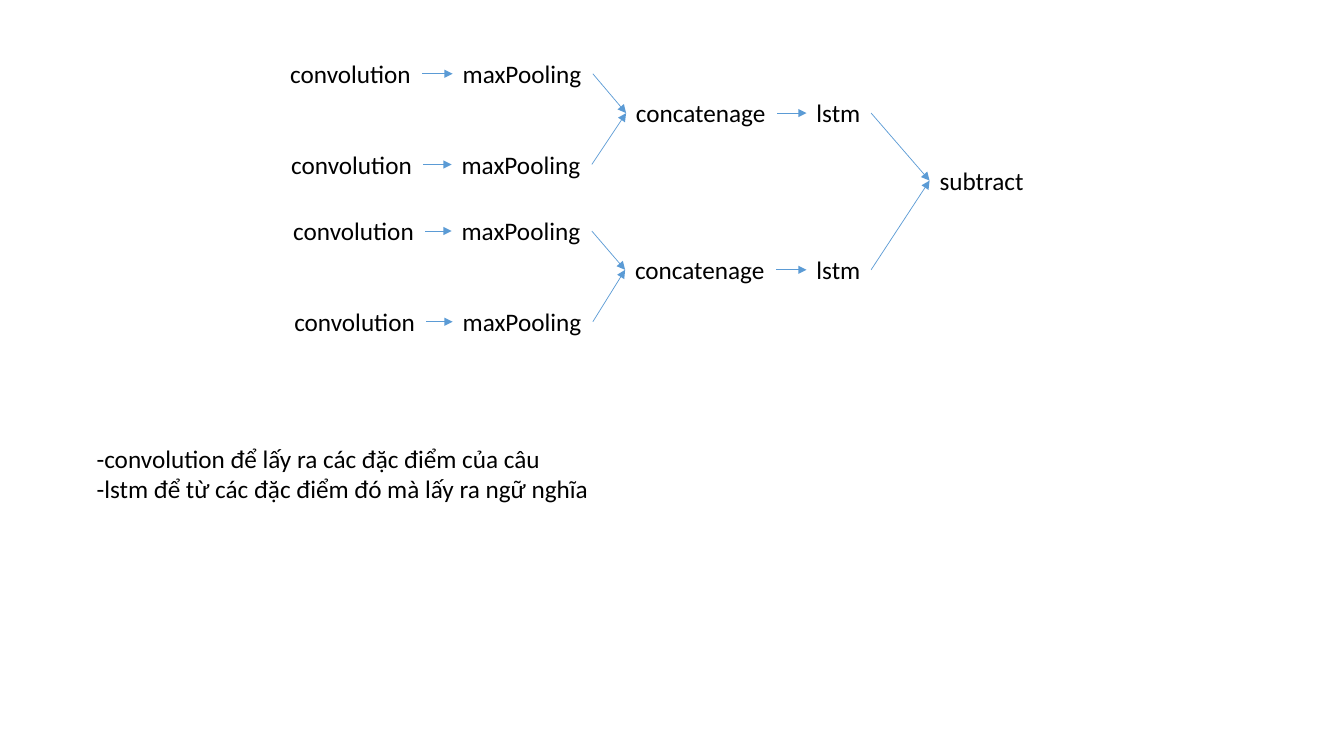
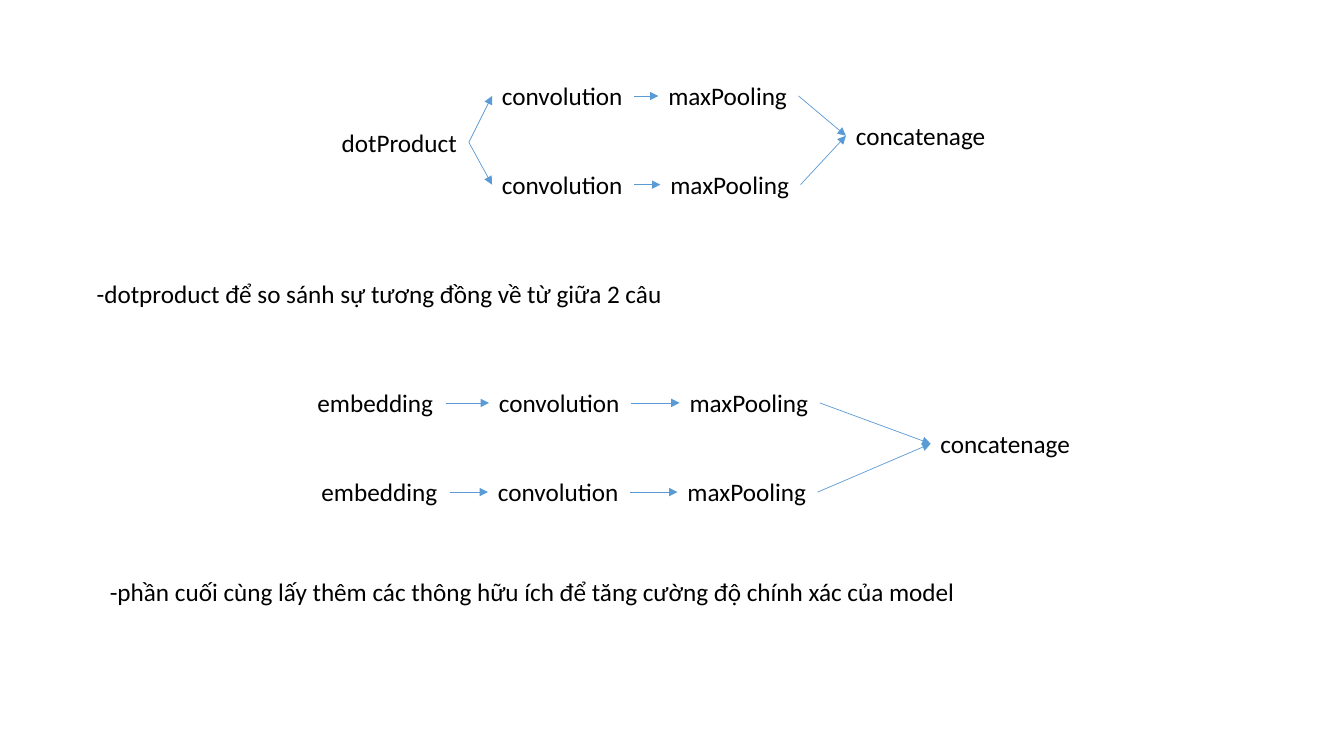
"""Two slides of network diagrams: labelled steps joined by thin arrows."""
from lxml.etree import SubElement
from pptx import Presentation
from pptx.dml.color import RGBColor
from pptx.enum.shapes import MSO_CONNECTOR as Connector
from pptx.enum.text import MSO_AUTO_SIZE as AutoSize
from pptx.oxml.ns import qn
from pptx.util import Inches, Pt

COLORS = {"text": "000000", "arrow": "5B9BD5"}
FONT, TEXT_SIZE, ARROW_WIDTH = "Calibri", Pt(18), Pt(0.5)
CELL = Inches(0.1)  # side of one column and one row of the grid
LINE_ROWS, PADDING_ROWS = 3.03, 1.01
LEFT_SITE, RIGHT_SITE = 1, 3
STEP_COLUMNS = {
    "convolution": 14.1, "maxPooling": 13.9, "concatenage": 15, "lstm": 6.4,
    "subtract": 10.4, "dotProduct": 13.6, "embedding": 13.7,
}


class Diagram:
    """Holds the deck, its style and the slide being drawn."""

    def __init__(self):
        """Start a widescreen deck."""
        self.deck = Presentation()
        self.deck.slide_width, self.deck.slide_height = Inches(13.33), Inches(7.5)
        self.page = None

    def new_page(self):
        """Add a blank slide and make it current."""
        self.page = self.deck.slides.add_slide(self.deck.slide_layouts[6])

    def text(self, lines, column, row, columns):
        """Place lines of text at a grid position."""
        rows = LINE_ROWS * len(lines) + PADDING_ROWS
        box = self.page.shapes.add_textbox(
            *(int(CELL * length) for length in (column, row, columns, rows)))
        frame = box.text_frame
        frame.word_wrap = False
        frame.auto_size = AutoSize.SHAPE_TO_FIT_TEXT
        frame.text = "\n".join(lines)
        for para in frame.paragraphs:
            for span in para.runs:
                span.font.name, span.font.size = FONT, TEXT_SIZE
                span.font.color.rgb = RGBColor.from_string(COLORS["text"])
        return box

    def step(self, word, column, row):
        """Place one named step of a network."""
        return self.text([word], column, row, STEP_COLUMNS[word])

    def arrow(self, source, target):
        """Join the right side of one step to the left side of another."""
        line = self.page.shapes.add_connector(Connector.STRAIGHT, 0, 0, 0, 0)
        line.begin_connect(source, RIGHT_SITE)
        line.end_connect(target, LEFT_SITE)
        line.line.color.rgb = RGBColor.from_string(COLORS["arrow"])
        line.line.width = ARROW_WIDTH
        properties = line.element.spPr
        SubElement(properties.find(qn("a:ln")), qn("a:tailEnd"), type="triangle")
        SubElement(properties, qn("a:effectLst"))

    def chain(self, *steps):
        """Place steps joined in sequence; return the first and last."""
        boxes = [self.step(*step) for step in steps]
        for source, target in zip(boxes, boxes[1:]):
            self.arrow(source, target)
        return boxes[0], boxes[-1]


def draw_sentence_model(diagram):
    """Draw two convolution branches that meet in a subtraction."""
    diagram.new_page()
    subtract = diagram.step("subtract", 92.2, 15.9)
    branches = [
        (5.3, (27.8, 27.9), (44.9, 44.8), 62.1, 9.2),
        (20.9, (28.1, 28.2), (44.8, 44.9), 62, 24.75),
    ]
    for top, convolutions, poolings, concat_column, concat_row in branches:
        concat, lstm = diagram.chain(
            ("concatenage", concat_column, concat_row), ("lstm", 80, concat_row))
        diagram.arrow(lstm, subtract)
        for index, (convolution, pooling) in enumerate(zip(convolutions, poolings)):
            row = top + 9 * index
            pool = diagram.chain(
                ("convolution", convolution, row), ("maxPooling", pooling, row))[1]
            diagram.arrow(pool, concat)
    diagram.text(["-convolution để lấy ra các đặc điểm của câu",
                  "-lstm để từ các đặc điểm đó mà lấy ra ngữ nghĩa"], 8.6, 43.5, 51.3)


def draw_similarity_models(diagram):
    """Draw the dot product network and the embedding network."""
    diagram.new_page()
    product = diagram.step("dotProduct", 32.9, 12.1)
    concat = diagram.step("concatenage", 83.9, 11.45)
    for row, pooling in ((7.5, 65.3), (16.3, 65.5)):
        convolution, pool = diagram.chain(
            ("convolution", 48.8, row), ("maxPooling", pooling, row))
        diagram.arrow(product, convolution)
        diagram.arrow(pool, concat)
    diagram.text(["-dotproduct để so sánh sự tương đồng về từ giữa 2 câu"], 8.6, 27.1, 58.8)

    concat = diagram.step("concatenage", 92.3, 42)
    for row, columns in ((37.95, (30.5, 48.5, 67.4)), (46.8, (30.9, 48.4, 67.2))):
        words = ("embedding", "convolution", "maxPooling")
        pool = diagram.chain(
            *((word, column, row) for word, column in zip(words, columns)))[1]
        diagram.arrow(pool, concat)
    diagram.text(["-phần cuối cùng lấy thêm các thông hữu ích để tăng cường "
                  "độ chính xác của model"], 9.9, 56.7, 86.9)


diagram = Diagram()
draw_sentence_model(diagram)
draw_similarity_models(diagram)
diagram.deck.save("out.pptx")
